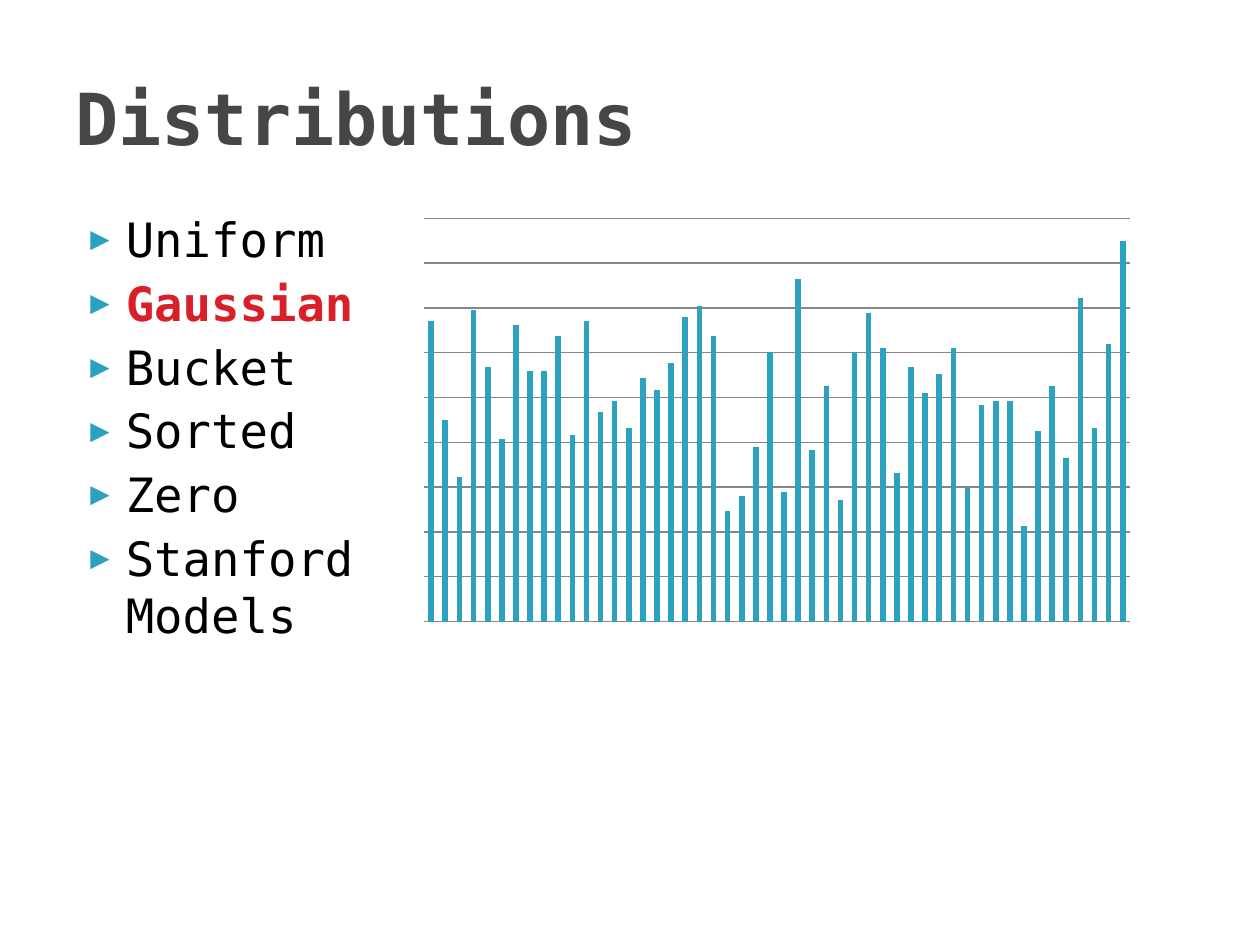
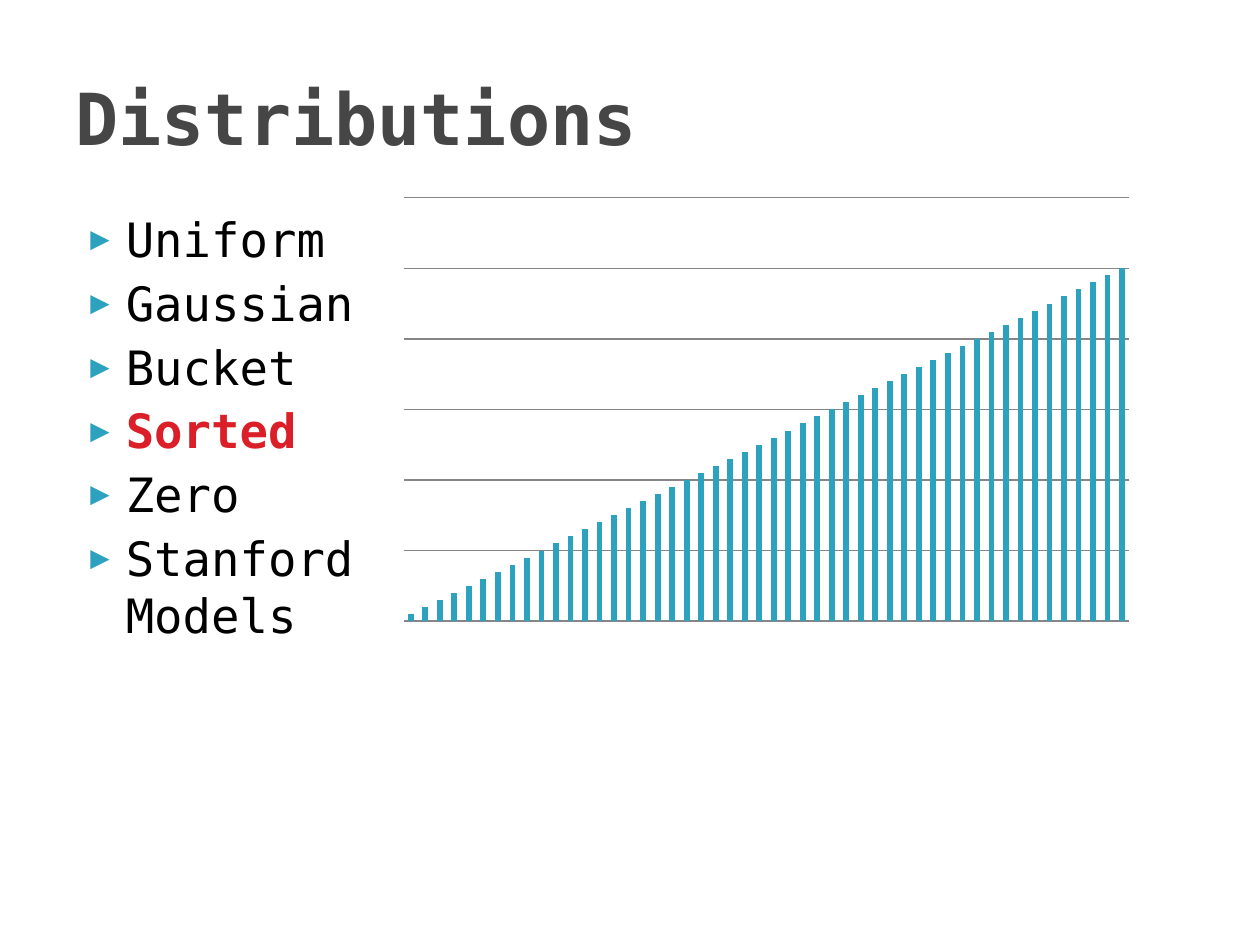
from lxml import etree
from pptx import Presentation
from pptx.chart.data import CategoryChartData
from pptx.dml.color import RGBColor
from pptx.enum.chart import XL_CHART_TYPE
from pptx.enum.text import MSO_ANCHOR
from pptx.oxml.ns import qn
from pptx.util import Pt

COLUMNS = XL_CHART_TYPE.COLUMN_CLUSTERED
MIDDLE = MSO_ANCHOR.MIDDLE

TEAL = RGBColor(0x2D, 0xA2, 0xBF)
RED = RGBColor(0xDA, 0x1F, 0x28)
BLACK = RGBColor(0, 0, 0)
SLATE = RGBColor(0x46, 0x46, 0x46)
GRID_GRAY = RGBColor(0x86, 0x86, 0x86)

FONT = "DejaVu Sans Mono"
TITLE_BOX = (36, 21.6, 648, 90)
LIST_BOX = (36, 116.64, 648, 356.4)
DISTRIBUTIONS = ["Uniform", "Gaussian", "Bucket", "Sorted", "Zero", "Stanford\nModels"]

GAUSSIAN_VALUES = [
    79, 53, 38, 82, 67, 48, 78, 66, 66, 75, 49, 79, 55, 58, 51, 64, 61,
    68, 80, 83, 75, 29, 33, 46, 71, 34, 90, 45, 62, 32, 71, 81, 72, 39,
    67, 60, 65, 72, 35, 57, 58, 58, 25, 50, 62, 43, 85, 51, 73, 100,
]
SORTED_VALUES = list(range(2, 101, 2))

SLIDES = [
    {"highlight": "Gaussian", "values": GAUSSIAN_VALUES,
     "box": (234, 120, 420, 240), "step": 11.78, "steps": 9},
    {"highlight": "Sorted", "values": SORTED_VALUES,
     "box": (222, 108, 432, 252), "step": 20, "steps": 6},
]


def set_font(font, color, **formats):
    for name, value in {"name": FONT, **formats}.items():
        setattr(font, name, value)
    font.color.rgb = color


def add_text_frame(page, box):
    frame = page.shapes.add_textbox(*map(Pt, box)).text_frame
    frame.word_wrap = True
    return frame


def add_title(page, box, text):
    frame = add_text_frame(page, box)
    frame.vertical_anchor = MIDDLE
    para = frame.paragraphs[0]
    para.text = text
    set_font(para.runs[0].font, SLATE, size=Pt(41), bold=True)


def add_bullet(para):
    props = para._p.get_or_add_pPr()
    props.set("marL", str(Pt(28.8)))
    props.set("indent", str(Pt(-20.16)))
    color = etree.SubElement(props, qn("a:buClr"))
    etree.SubElement(color, qn("a:srgbClr"), val=str(TEAL))
    etree.SubElement(props, qn("a:buSzPct"), val="68000")
    etree.SubElement(props, qn("a:buFont"), typeface=FONT)
    etree.SubElement(props, qn("a:buChar"), char="▶")


def add_distribution_list(page, box, highlight):
    frame = add_text_frame(page, box)
    for index, name in enumerate(DISTRIBUTIONS):
        para = frame.add_paragraph() if index else frame.paragraphs[0]
        para.text = name
        add_bullet(para)
        if index:
            para.space_before = Pt(4)
        active = name == highlight
        for span in para.runs:
            set_font(span.font, RED if active else BLACK, size=Pt(27), bold=active)


def add_histogram(page, box, values, step, steps):
    data = CategoryChartData()
    data.categories = [str(number) for number in range(1, len(values) + 1)]
    data.add_series("Series 1", values)
    chart = page.shapes.add_chart(COLUMNS, *map(Pt, box), data).chart
    set_font(chart.font, BLACK, size=Pt(10))
    chart.has_legend = False
    chart.has_title = False
    chart.category_axis.visible = False
    axis = chart.value_axis
    for name, value in {
        "visible": False,
        "has_major_gridlines": True,
        "minimum_scale": 0,
        "maximum_scale": step * steps,
        "major_unit": step,
    }.items():
        setattr(axis, name, value)
    grid = axis.major_gridlines.format.line
    grid.color.rgb = GRID_GRAY
    grid.width = Pt(0.75)
    plot = chart.plots[0]
    plot.vary_by_categories = False
    plot.gap_width = 150
    bars = plot.series[0].format.fill
    bars.solid()
    bars.fore_color.rgb = TEAL


def add_distribution_slide(deck, highlight, values, box, step, steps):
    page = deck.slides.add_slide(deck.slide_layouts[6])
    add_distribution_list(page, LIST_BOX, highlight)
    add_title(page, TITLE_BOX, "Distributions")
    add_histogram(page, box, values, step, steps)


def main():
    deck = Presentation()
    deck.slide_width, deck.slide_height = Pt(720), Pt(540)
    for slide in SLIDES:
        add_distribution_slide(deck, **slide)
    deck.save("out.pptx")


if __name__ == "__main__":
    main()
